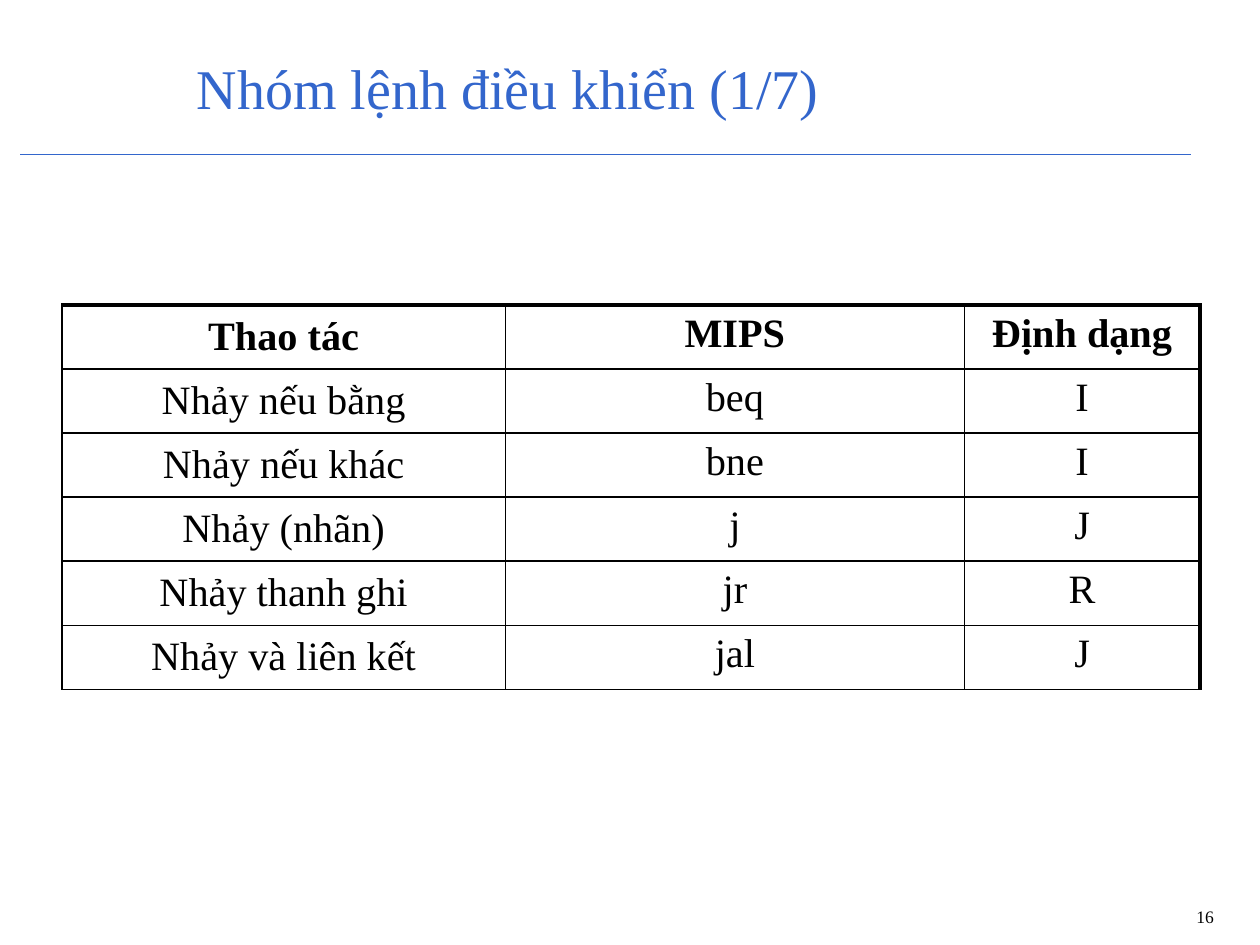
from lxml.etree import SubElement
from pptx import Presentation
from pptx.dml.color import RGBColor
from pptx.enum.shapes import MSO_CONNECTOR
from pptx.enum.text import MSO_ANCHOR, PP_ALIGN
from pptx.oxml.ns import qn
from pptx.util import Cm, Pt

BLUE = RGBColor(0x33, 0x66, 0xCC)
BLACK = RGBColor(0, 0, 0)
FONT = "Times New Roman"
THIN, MID, THICK = 1, 1.5, 2.25

COLS = (8.94, 9.25, 4.75)
ROWS = [
    ("Thao tác", "MIPS", "Định dạng"),
    ("Nhảy nếu bằng", "beq", "I"),
    ("Nhảy nếu khác", "bne", "I"),
    ("Nhảy (nhãn)", "j", "J"),
    ("Nhảy thanh ghi", "jr", "R"),
    ("Nhảy và liên kết", "jal", "J"),
]
# Rule widths from the top edge of the table to its bottom edge
RULES = (THICK, MID, MID, MID, MID, THIN, THIN)


def write(frame, text, size, color, align, bold=False):
    para = frame.paragraphs[0]
    para.alignment = align
    run = para.add_run()
    run.text = text
    font = run.font
    font.name, font.size, font.bold = FONT, Pt(size), bold
    font.color.rgb = color


def add_title(slide, text, left, top, width, height):
    title = slide.shapes.title
    title.left, title.top = Cm(left), Cm(top)
    title.width, title.height = Cm(width), Cm(height)
    title.text_frame.vertical_anchor = MSO_ANCHOR.MIDDLE
    write(title.text_frame, text, 32, BLUE, PP_ALIGN.LEFT)


def add_rule(slide, left, top, width):
    line = slide.shapes.add_connector(
        MSO_CONNECTOR.STRAIGHT, Cm(left), Cm(top), Cm(left + width), Cm(top))
    line.line.color.rgb = BLUE
    line.line.width = Pt(0.75)
    SubElement(line._element.spPr, qn("a:effectLst"))


def set_edges(cell, **widths):
    """Draw black cell borders; keys are L, R, T and B, in that order."""
    props = cell._tc.get_or_add_tcPr()
    for side, width in widths.items():
        edge = SubElement(props, qn(f"a:ln{side}"), w=str(Pt(width)))
        fill = SubElement(edge, qn("a:solidFill"))
        SubElement(fill, qn("a:srgbClr"), val=str(BLACK))


def add_grid(slide, left, top, width, height):
    frame = slide.shapes.add_table(
        len(ROWS), len(COLS), Cm(left), Cm(top), Cm(width), Cm(height))
    table = frame.table
    table.first_row = table.horz_banding = False
    for col, size in zip(table.columns, COLS):
        col.width = Cm(size)
    for r, row in enumerate(ROWS):
        table.rows[r].height = Cm(height / len(ROWS))
        for c, text in enumerate(row):
            cell = table.cell(r, c)
            right = THICK if c == len(COLS) - 1 else THIN
            set_edges(cell, L=THIN, R=right, T=RULES[r], B=RULES[r + 1])
            cell.fill.background()
            cell.vertical_anchor = MSO_ANCHOR.TOP if c else MSO_ANCHOR.MIDDLE
            write(cell.text_frame, text, 23, BLACK, PP_ALIGN.CENTER, r == 0)


def add_number(slide, text, left, top, width, height):
    box = slide.shapes.add_textbox(Cm(left), Cm(top), Cm(width), Cm(height))
    box.text_frame.word_wrap = True
    write(box.text_frame, text, 10, BLACK, PP_ALIGN.RIGHT)


def main():
    deck = Presentation()
    deck.slide_width, deck.slide_height = Cm(25.4), Cm(19.05)
    slide = deck.slides.add_slide(deck.slide_layouts.get_by_name("Title Only"))
    add_rule(slide, 0.41, 3.12, 23.6)
    add_title(slide, "Nhóm lệnh điều khiển (1/7)", 3.71, 0.79, 20.42, 1.93)
    add_number(slide, "16", 19.84, 18.14, 4.88, 0.81)
    add_grid(slide, 1.25, 6.15, sum(COLS), 7.75)
    deck.save("out.pptx")


if __name__ == "__main__":
    main()
